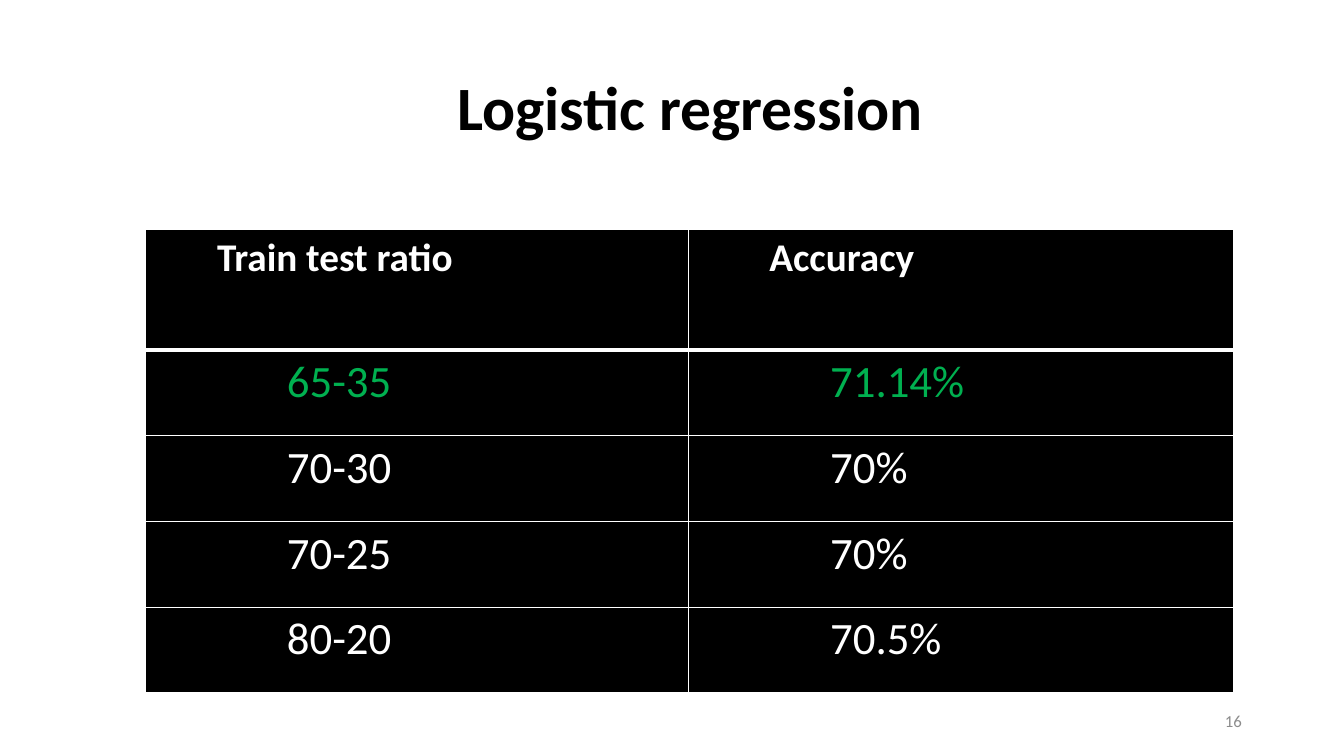
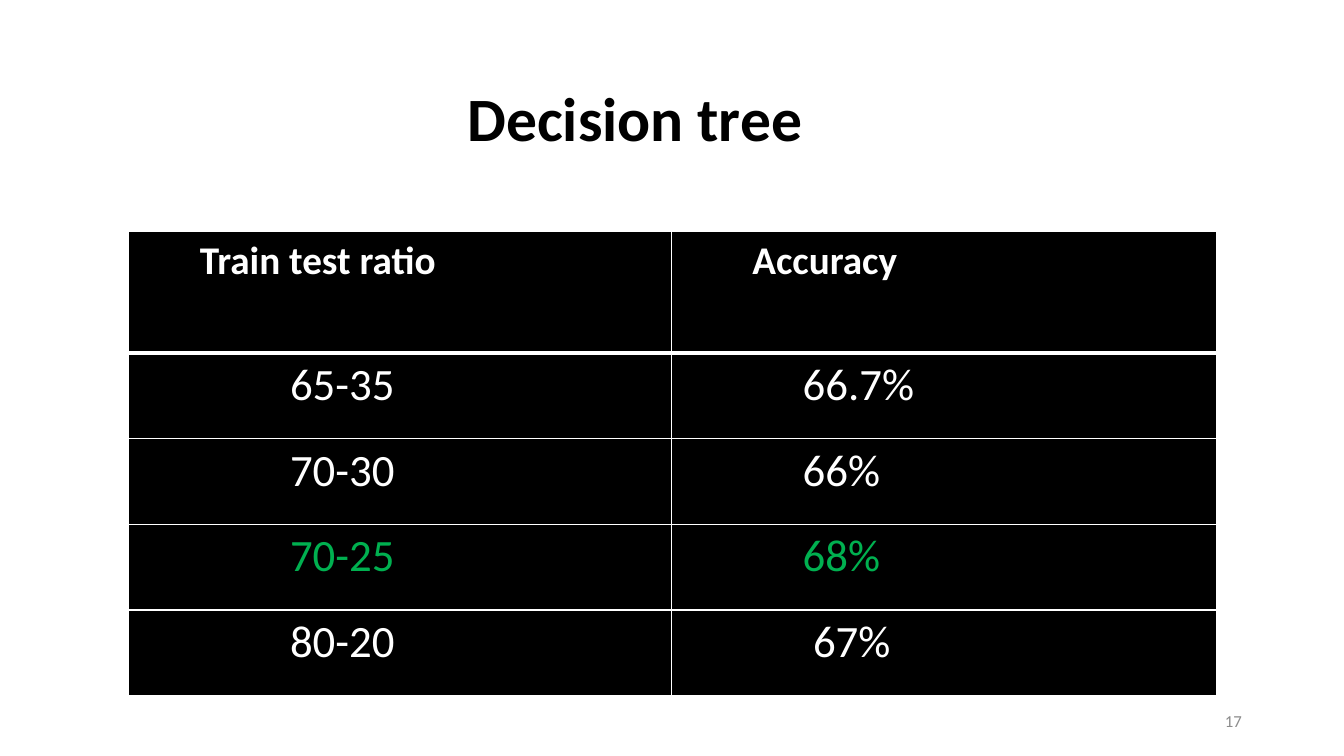
from lxml.etree import SubElement
from pptx import Presentation
from pptx.dml.color import RGBColor
from pptx.enum.text import MSO_ANCHOR, PP_ALIGN
from pptx.oxml.ns import qn
from pptx.util import Cm, Pt

COLORS = {"ink": "000000", "paper": "FFFFFF", "best": "00B050", "number": "8C8C8C"}
FONT = "Calibri"
INSET = 0.25
HEADINGS = ("Train test ratio", "Accuracy")
HEADING_INDENTS = (1.56, 1.79)
COLUMN_WIDTHS = (13.69, 13.74)
HEADING_HEIGHT, RESULT_HEIGHT = 3.05, 2.16
NUMBER_BOX = (23.93, 17.65, 7.62, 1.02)

RESULT_SLIDES = (
    {
        "title": "Logistic regression",
        "title_box": (9.52, 1.6, 17.91, 2.13),
        "title_indent": 1.75,
        "table_origin": (3.66, 5.77),
        "results": (("65-35", "71.14%"), ("70-30", "70%"), ("70-25", "70%"), ("80-20", "70.5%")),
        "indents": ((3.32, 3.32),) * 4,
        "best": "65-35",
        "number": 16,
    },
    {
        "title": "Decision tree",
        "title_box": (11.53, 1.88, 12.12, 2.9),
        "title_indent": 0,
        "table_origin": (3.23, 5.84),
        "results": (("65-35", "66.7%"), ("70-30", "66%"), ("70-25", "68%"), ("80-20", "67%")),
        "indents": ((3.83, 3.06),) * 3 + ((3.83, 3.32),),
        "best": "70-25",
        "number": 17,
    },
)


def write(frame, text, size, color="ink", bold=False, align=PP_ALIGN.LEFT):
    """Write one formatted line into a text frame."""
    line = frame.paragraphs[0]
    line.alignment = align
    run = line.add_run()
    run.text = text
    run.font.name = FONT
    run.font.size = Pt(size)
    run.font.bold = bold
    run.font.color.rgb = RGBColor.from_string(COLORS[color])


def add_label(slide, box, text, indent=0, anchor=MSO_ANCHOR.TOP, **style):
    """Add a wrapped text box, its text indented from the left inset."""
    frame = slide.shapes.add_textbox(*map(Cm, box)).text_frame
    frame.word_wrap = True
    frame.vertical_anchor = anchor
    frame.margin_left = Cm(INSET + indent)
    write(frame, text, **style)


def set_borders(cell, top, bottom):
    """Rule all four sides of a cell, with top and bottom widths in points."""
    properties = cell._tc.get_or_add_tcPr()
    widths = {"lnL": 1, "lnR": 1, "lnT": top, "lnB": bottom}
    for position, (side, width) in enumerate(widths.items()):
        rule = SubElement(properties, qn(f"a:{side}"), w=str(Pt(width)))
        fill = SubElement(rule, qn("a:solidFill"))
        SubElement(fill, qn("a:srgbClr"), val=COLORS["paper"])
        properties.insert(position, rule)


def fill_cell(cell, text, indent, top=1, bottom=1, **style):
    """Fill, rule and label one table cell."""
    cell.fill.solid()
    cell.fill.fore_color.rgb = RGBColor.from_string(COLORS["ink"])
    cell.margin_left = Cm(INSET + indent)
    set_borders(cell, top, bottom)
    write(cell.text_frame, text, **style)


def add_results_table(slide, origin, results, indents, best):
    """Add the accuracy table at its origin, with the best ratio highlighted."""
    height = HEADING_HEIGHT + RESULT_HEIGHT * len(results)
    box = (*origin, sum(COLUMN_WIDTHS), height)
    table = slide.shapes.add_table(len(results) + 1, len(HEADINGS), *map(Cm, box)).table
    table.first_row = table.horz_banding = False
    for column, width in zip(table.columns, COLUMN_WIDTHS):
        column.width = Cm(width)
    for index, row in enumerate(table.rows):
        row.height = Cm(RESULT_HEIGHT if index else HEADING_HEIGHT)
    for cell, heading, indent in zip(table.rows[0].cells, HEADINGS, HEADING_INDENTS):
        fill_cell(cell, heading, indent, bottom=3, size=28, color="paper", bold=True)
    for index, (result, row_indents) in enumerate(zip(results, indents), start=1):
        color = "best" if result[0] == best else "paper"
        for cell, value, indent in zip(table.rows[index].cells, result, row_indents):
            fill_cell(cell, value, indent, top=3 if index == 1 else 1, size=32, color=color)


def add_result_slide(deck, title, title_box, title_indent, table_origin,
                     results, indents, best, number):
    """Add one slide with a title, a results table and a slide number."""
    slide = deck.slides.add_slide(deck.slide_layouts[6])
    add_label(slide, title_box, title, indent=title_indent, size=44, bold=True)
    add_results_table(slide, table_origin, results, indents, best)
    add_label(slide, NUMBER_BOX, str(number), anchor=MSO_ANCHOR.MIDDLE,
              size=12, color="number", align=PP_ALIGN.RIGHT)


def main():
    """Build and save the deck."""
    deck = Presentation()
    deck.slide_width, deck.slide_height = Cm(33.87), Cm(19.05)
    for content in RESULT_SLIDES:
        add_result_slide(deck, **content)
    deck.save("out.pptx")


if __name__ == "__main__":
    main()
